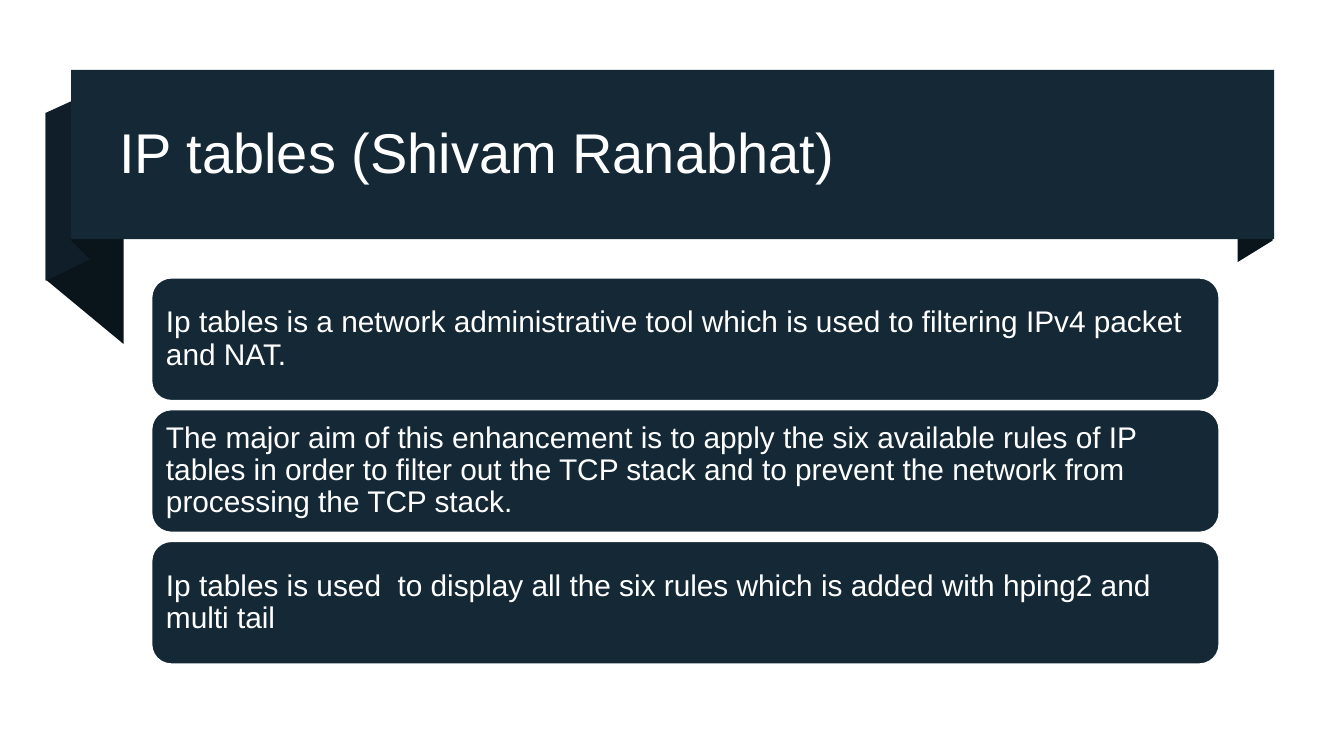
from pptx import Presentation, util as u
from pptx.dml.color import RGBColor
from pptx.enum import shapes, text

WIDTH = 10
HEIGHT = WIDTH * 9 / 16
WHITE = RGBColor(0xFF, 0xFF, 0xFF)
NAVY = RGBColor(0x14, 0x28, 0x36)
FOLD_DARK = RGBColor(0x0A, 0x14, 0x1B)
FOLD_MID = RGBColor(0x0F, 0x1E, 0x28)

TITLE = "IP tables (Shivam Ranabhat)"
POINTS = [
    "Ip tables is a network administrative tool which is used to filtering "
    "IPv4 packet and NAT.",
    "The major aim of this enhancement is to apply the six available rules of "
    "IP tables in order to filter out the TCP stack and to prevent the network "
    "from processing the TCP stack.",
    "Ip tables is used  to display all the six rules which is added with "
    "hping2 and multi tail",
]

# Card column: one row per point
CARD_LEFT, CARD_TOP = 1.12, 2.06
CARD_WIDTH, CARD_HEIGHT, ROW_STEP = 7.96, 0.93, 0.98
CARD_INSET = 0.07

# Ribbon folds behind the title band, back to front: left x, its top and
# bottom, right x, its top and bottom
FOLDS = [
    (0.34, 0.84, 2.08, 0.92, 1.31, 2.56, FOLD_DARK),
    (0.34, 0.84, 2.09, 0.67, 0.69, 1.93, FOLD_MID),
    (0.53, 0.53, 1.79, 0.67, 0.66, 1.93, FOLD_DARK),
    (9.21, 0.68, 1.95, 9.47, 0.52, 1.79, FOLD_DARK),
]


def paint(shape, color):
    shape.shadow.inherit = False
    shape.fill.solid()
    shape.fill.fore_color.rgb = color
    shape.line.fill.background()


def add_fold(slide, left, left_top, left_bottom, right, right_top, right_bottom, color):
    corners = [(left, left_top), (right, right_top),
               (right, right_bottom), (left, left_bottom)]
    points = [(u.Inches(x), u.Inches(y)) for x, y in corners]
    outline = slide.shapes.build_freeform(*points[0])
    outline.add_line_segments(points[1:], close=True)
    paint(outline.convert_to_shape(), color)


def add_block(slide, kind, left, top, width, height):
    block = slide.shapes.add_shape(kind, *map(u.Inches, (left, top, width, height)))
    paint(block, NAVY)
    return block


def write(shape, words, size, inset):
    frame = shape.text_frame
    frame.word_wrap = True
    frame.vertical_anchor = text.MSO_ANCHOR.MIDDLE
    frame.margin_left = frame.margin_right = u.Inches(inset)
    frame.margin_top = frame.margin_bottom = u.Inches(inset)
    paragraph = frame.paragraphs[0]
    paragraph.alignment = text.PP_ALIGN.LEFT
    paragraph.line_spacing = 0.9
    run = paragraph.add_run()
    run.text = words
    run.font.name = "Arial"
    run.font.size = u.Pt(size)
    run.font.color.rgb = WHITE


def add_card(slide, row, words):
    card = add_block(slide, shapes.MSO_SHAPE.ROUNDED_RECTANGLE, CARD_LEFT,
                     CARD_TOP + row * ROW_STEP, CARD_WIDTH, CARD_HEIGHT)
    card.line.color.rgb = WHITE
    card.line.width = u.Pt(2)
    write(card, words, 16, CARD_INSET)


def main():
    deck = Presentation()
    deck.slide_width, deck.slide_height = u.Inches(WIDTH), u.Inches(HEIGHT)
    slide = deck.slides.add_slide(deck.slide_layouts[6])
    slide.background.fill.solid()
    slide.background.fill.fore_color.rgb = WHITE

    # Title ribbon
    for fold in FOLDS:
        add_fold(slide, *fold)
    add_block(slide, shapes.MSO_SHAPE.RECTANGLE, 0.53, 0.52, 8.95, 1.26)
    title = slide.shapes.add_textbox(*map(u.Inches, (0.79, 0.66, 8.42, 0.99)))
    write(title, TITLE, 30, 0.1)

    # Point cards
    for row, words in enumerate(POINTS):
        add_card(slide, row, words)

    deck.save("out.pptx")


if __name__ == "__main__":
    main()
